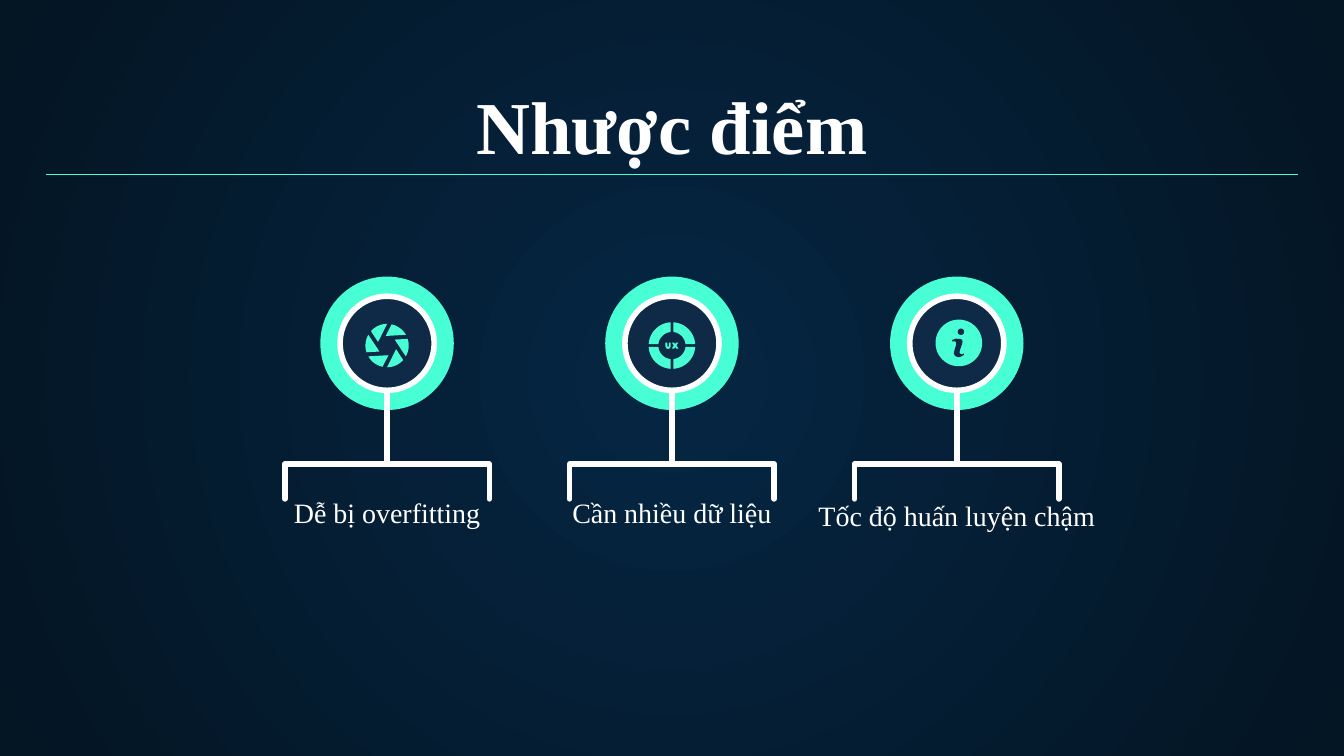
from math import asin, cos, degrees, radians, sin

from lxml.etree import SubElement
from pptx import Presentation
from pptx.dml.color import RGBColor
from pptx.enum.shapes import MSO_CONNECTOR, MSO_SHAPE
from pptx.enum.text import MSO_ANCHOR, MSO_AUTO_SIZE, PP_ALIGN
from pptx.oxml.ns import qn
from pptx.util import Pt

FONT = "Times New Roman"
COLORS = {
    "glow": "052643",
    "edge": "041523",
    "mint": "48FFD5",
    "navy": "0E2A47",
    "white": "FFFFFF",
}


def rgb(name):
    return RGBColor.from_string(COLORS[name])


# Basic parts
def paint(shape, fill):
    shape.shadow.inherit = False
    shape.fill.solid()
    shape.fill.fore_color.rgb = rgb(fill)
    shape.line.fill.background()
    return shape


def disc(slide, x, y, size, fill):
    shape = slide.shapes.add_shape(
        MSO_SHAPE.OVAL, Pt(x - size / 2), Pt(y - size / 2), Pt(size), Pt(size))
    return paint(shape, fill)


def outline(slide, x, y, points, close=True):
    """Draw points given relative to (x, y)."""
    spots = [(Pt(x + dx), Pt(y + dy)) for dx, dy in points]
    pen = slide.shapes.build_freeform(*spots[0], scale=1.0)
    pen.add_line_segments(spots[1:], close=close)
    return pen.convert_to_shape()


def rule(slide, start, end, color, width):
    line = slide.shapes.add_connector(
        MSO_CONNECTOR.STRAIGHT, *[Pt(v) for v in (*start, *end)])
    line.line.color.rgb = rgb(color)
    line.line.width = Pt(width)
    SubElement(line._element.spPr, qn("a:effectLst"))


def polar(size, angle):
    return size * cos(radians(angle)), size * sin(radians(angle))


def arc(size, start, end, steps=12):
    return [polar(size, start + (end - start) * i / steps)
            for i in range(steps + 1)]


def write(shape, text, size, bold=False):
    frame = shape.text_frame
    frame.text = text
    frame.word_wrap = True
    frame.auto_size = MSO_AUTO_SIZE.NONE
    frame.vertical_anchor = MSO_ANCHOR.BOTTOM
    frame.margin_left = frame.margin_right = frame.margin_top = 0
    frame.margin_bottom = Pt(7.2)
    para = frame.paragraphs[0]
    para.alignment = PP_ALIGN.CENTER
    font = para.runs[0].font
    font.name, font.size, font.bold = FONT, Pt(size), bold
    font.color.rgb = rgb("white")


# Icons, each centred on the middle of its ring
def shutter(slide, x, y):
    for turn in range(0, 360, 60):
        blade = [polar(5.2, turn - 98)] + arc(11.6, turn - 78, turn - 30)
        paint(outline(slide, x, y + 1.2, blade), "mint")


def target(slide, x, y):
    y += 1.2
    large, small, gap = 12.5, 7.3, 0.75
    far, near = (degrees(asin(gap / size)) for size in (large, small))
    for turn in range(0, 360, 90):
        part = (arc(large, turn + far, turn + 90 - far)
                + arc(small, turn + 90 - near, turn + near))
        paint(outline(slide, x, y, part), "mint")
    # The letters U and X
    bowl = [(-3.5, -1.6), (-2.5, -1.6), (-2.5, 0.4), (-2.1, 0.8),
            (-1.7, 0.4), (-1.7, -1.6), (-0.7, -1.6), (-0.7, 0.5),
            (-1.2, 1.5), (-2.1, 1.8), (-3, 1.5), (-3.5, 0.5)]
    cross = [(0, -1.6), (1.2, -1.6), (1.7, -0.7), (2.2, -1.6), (3.4, -1.6),
             (2.4, 0), (3.5, 1.7), (2.3, 1.7), (1.7, 0.8), (1.1, 1.7),
             (-0.1, 1.7), (1, 0)]
    for letter in (bowl, cross):
        paint(outline(slide, x, y, letter), "mint")


def info(slide, x, y):
    x += 1.1
    disc(slide, x, y - 0.2, 25, "mint")
    disc(slide, x + 1.1, y - 6.2, 3.5, "navy")
    stem = [(-3.6, -1.8), (-1.6, -2.5), (1.2, -2.3), (2, -1.2), (1.7, 0.4),
            (0.5, 3.8), (0.4, 5.2), (1, 5.8), (1.8, 5.9), (2.6, 5.4),
            (2.6, 6.3), (0.9, 7.2), (-0.5, 7.4), (-2, 6.8), (-2.7, 5.6),
            (-2.4, 3.8), (-1.5, 0.8), (-1.4, -0.5), (-2, -1.1), (-3.6, -1.1)]
    paint(outline(slide, x, y, stem), "navy")


# Regions
def backdrop(slide):
    fill = slide.background.fill
    fill.gradient()
    for stop, name in zip(fill.gradient_stops, ("glow", "edge")):
        stop.color.rgb = rgb(name)
    grad = slide.element.find(".//" + qn("a:gradFill"))
    for line in grad.findall(qn("a:lin")):
        grad.remove(line)
    route = SubElement(grad, qn("a:path"), {"path": "circle"})
    SubElement(route, qn("a:fillToRect"), dict.fromkeys("ltrb", "50000"))


def header(slide, box, text):
    left, top, width, height = box
    title = slide.shapes.title
    title.left, title.top, title.width, title.height = [Pt(v) for v in box]
    write(title, text, 40, bold=True)
    low = top + height - 4.3
    rule(slide, (left, low), (left + width, low), "mint", 0.75)


def column(slide, box, text, icon, drop):
    left, top, width, height = box
    x, y = left + width / 2, top + 35.75
    bar = top + 100.4
    # Ring with its icon
    disc(slide, x, y, 71.5, "mint")
    ring = disc(slide, x, y, 50.4, "navy")
    ring.line.color.rgb = rgb("white")
    ring.line.width = Pt(3)
    icon(slide, x, y)
    # Stem and bracket
    rule(slide, (x, y + 25.2), (x, bar), "white", 3)
    half, leg = 54.8, 18.7
    clasp = outline(slide, x, bar,
                    [(-half, leg), (-half, 0), (half, 0), (half, leg)],
                    close=False)
    clasp.shadow.inherit = False
    clasp.fill.background()
    clasp.line.color.rgb = rgb("white")
    clasp.line.width = Pt(3)
    clasp.line._get_or_add_ln().set("cap", "rnd")
    # Label
    tall = 30
    label = slide.shapes.add_textbox(
        Pt(left), Pt(top + height - tall + drop), Pt(width), Pt(tall))
    write(label, text, 15)


def main():
    deck = Presentation()
    deck.slide_width, deck.slide_height = Pt(720), Pt(405)
    slide = deck.slides.add_slide(deck.slide_layouts[5])
    backdrop(slide)
    header(slide, (24.5, 50.4, 671, 47.5), "Nhược điểm")
    items = [
        ("Dễ bị overfitting", shutter, 0),
        ("Cần nhiều dữ liệu", target, 0),
        ("Tốc độ huấn luyện chậm", info, 1.5),
    ]
    width = 152.6
    start = 360 - width * len(items) / 2
    for i, item in enumerate(items):
        column(slide, (start + i * width, 148.2, width, 142.7), *item)
    deck.save("out.pptx")


if __name__ == "__main__":
    main()
